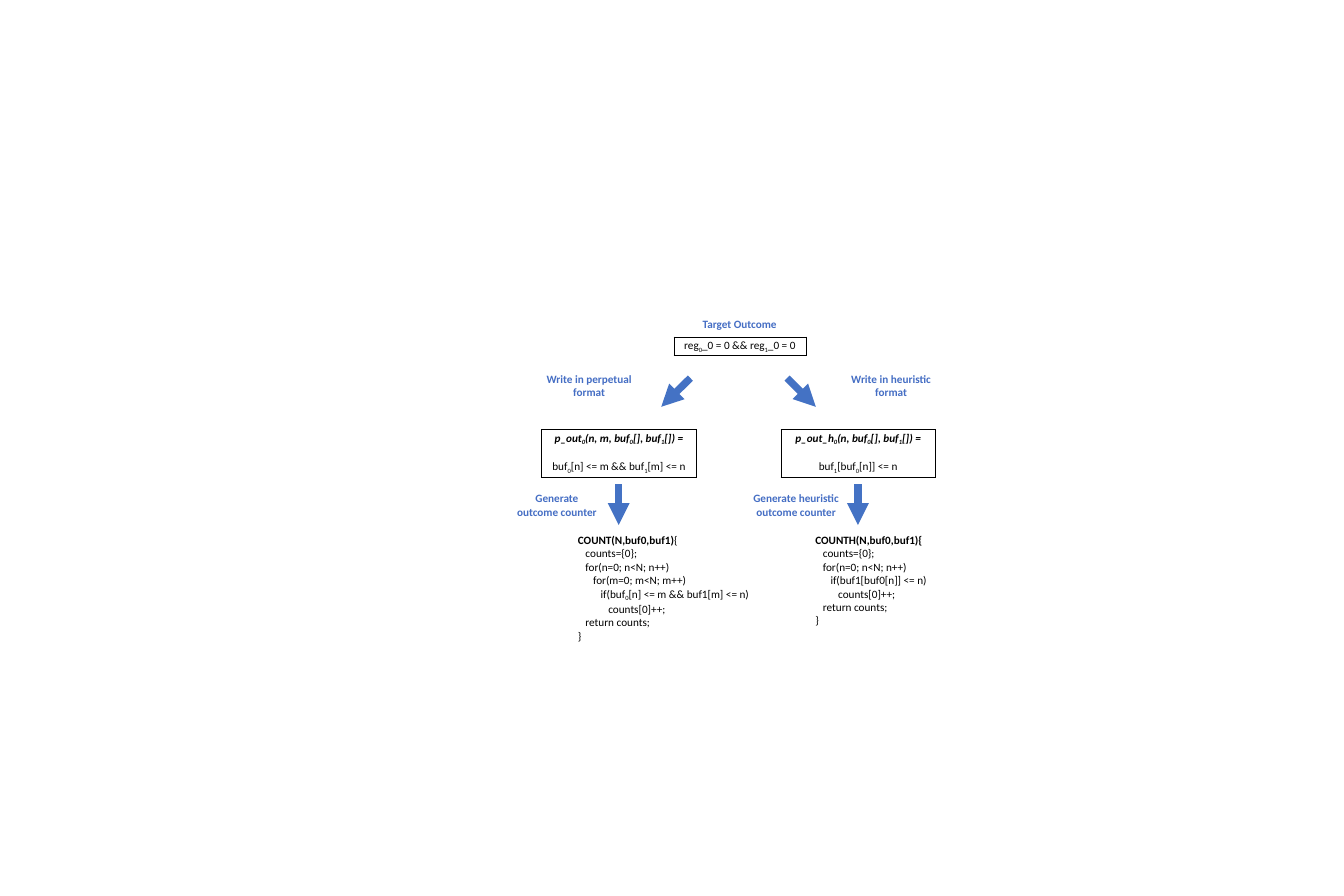
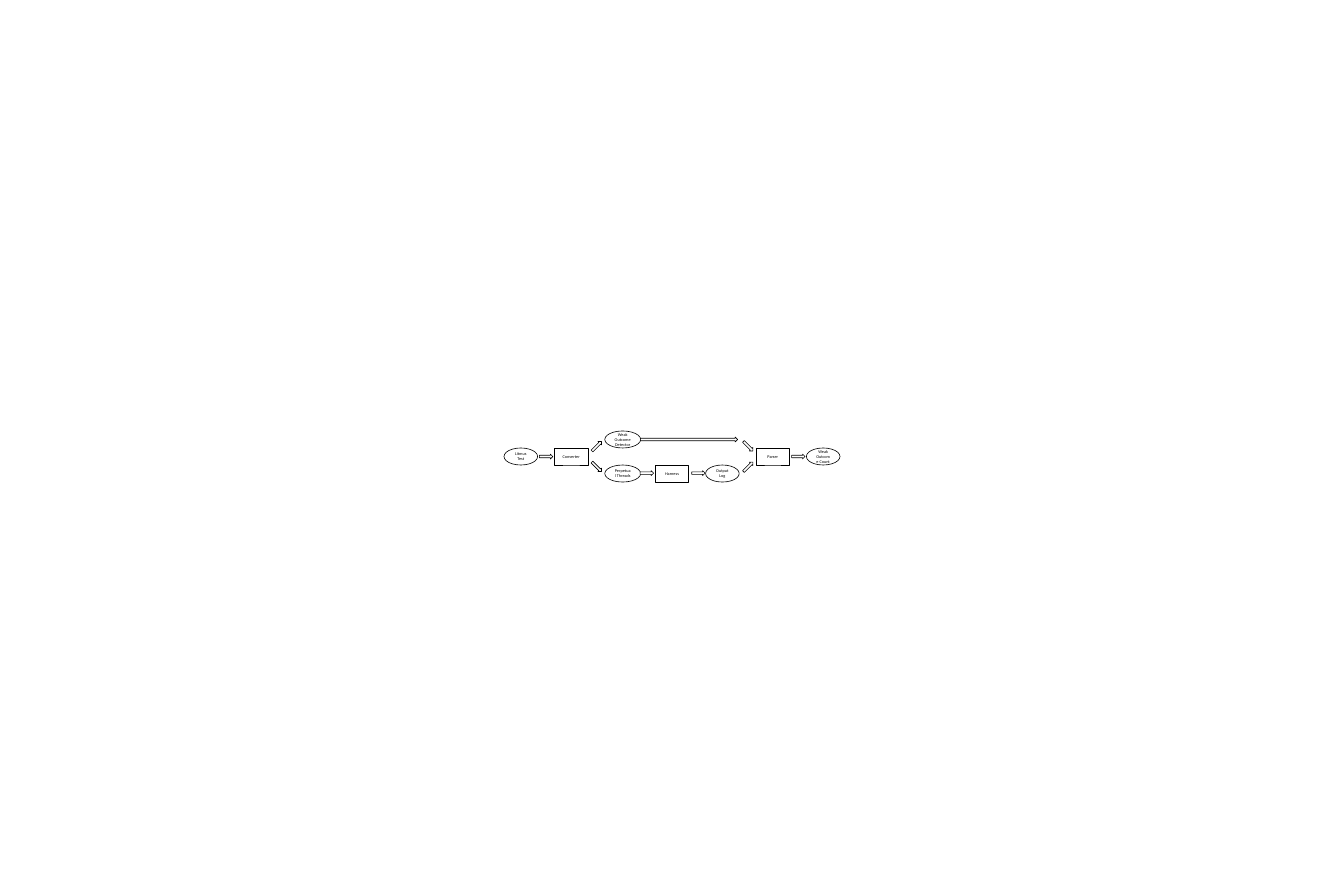
import pptx
import pptx.dml.color
import pptx.enum.shapes
import pptx.enum.text
import pptx.oxml.ns
import pptx.util
from lxml import etree

Inches = pptx.util.Inches
Pt = pptx.util.Pt
RGBColor = pptx.dml.color.RGBColor
SHAPE = pptx.enum.shapes.MSO_SHAPE
ALIGN = pptx.enum.text.PP_ALIGN
qn = pptx.oxml.ns.qn

BLACK = RGBColor(0x00, 0x00, 0x00)
WHITE = RGBColor(0xFF, 0xFF, 0xFF)
LABEL_BLUE = RGBColor(0x45, 0x6E, 0xC4)
ARROW_BLUE = RGBColor(0x44, 0x72, 0xC4)
FONT = "Calibri"
BODY_SIZE = 18
NODE_SIZE = 6.8
CODE_INDENT = 0.17

TARGET = "reg~0_0 = 0 && reg~1_0 = 0"
PERPETUAL = {
    "step": ["Write in perpetual", "format"],
    "step_box": (0, 2.12),
    "step_arrow": (3.32, 2.67),
    "signature": "p_out~0(n, m, buf~0[], buf~1[]) =",
    "condition": "buf~0[n] <= m && buf~1[m] <= n",
    "counter": ["Generate", "outcome counter"],
    "counter_box": (-0.67, 2.02),
    "code_box": (0.71, 4.41, 2.52),
    "code_wrap": True,
    "head": ("COUNT(N,buf0,buf1)", "{"),
    "code": [
        (1, "counts={0};"),
        (1, "for(n=0; n<N; n++)"),
        (2, "for(m=0; m<N; m++)"),
        (3, "if(buf~0[n] <= m && buf1[m] <= n)"),
        (4, "counts[0]++;"),
        (1, "return counts;"),
        (0, "}"),
    ],
}
HEURISTIC = {
    "step": ["Write in heuristic", "format"],
    "step_box": (1.46, 2),
    "step_arrow": (0.14, 0.78),
    "signature": "p_out_h~0(n, buf~0[], buf~1[]) =",
    "condition": "buf~1[buf~0[n]] <= n",
    "counter": ["Generate heuristic", "outcome counter"],
    "counter_box": (-0.72, 2.12),
    "code_box": (0.67, 2.81, 2.22),
    "code_wrap": False,
    "head": ("COUNTH(N,buf0,buf1){", ""),
    "code": [
        (1, "counts={0};"),
        (1, "for(n=0; n<N; n++)"),
        (2, "if(buf1[buf0[n]] <= n)"),
        (3, "counts[0]++;"),
        (1, "return counts;"),
        (0, "}"),
    ],
}

NODES = [
    ("Converter", SHAPE.RECTANGLE, 1, 1, 0.75),
    ("Harness", SHAPE.RECTANGLE, 3, 2, 0.75),
    ("Parser", SHAPE.RECTANGLE, 5, 1, 0.75),
    ("Litmus Test", SHAPE.OVAL, 0, 1, 0.75),
    ("Perpetual Threads", SHAPE.OVAL, 2, 2, 0.8),
    ("Weak Outcome Detector", SHAPE.OVAL, 2, 0, 0.8),
    ("Output Log", SHAPE.OVAL, 4, 2, 0.75),
    ("Weak Outcome Count", SHAPE.OVAL, 6, 1, 0.75),
]
RIGHT, DOWN_RIGHT, UP_RIGHT = 270, 315, 225
FLOW_ARROWS = [
    (0.94, 0.57, 0.3, RIGHT),
    (3.19, 0.94, 0.3, RIGHT),
    (4.34, 0.94, 0.3, RIGHT),
    (6.57, 0.57, 0.3, RIGHT),
    (4.13, 0.19, 2.17, RIGHT),
    (2.07, 0.8, 0.3, DOWN_RIGHT),
    (2.07, 0.34, 0.3, UP_RIGHT),
    (5.45, 0.34, 0.3, DOWN_RIGHT),
    (5.45, 0.8, 0.3, UP_RIGHT),
]


def inches(*lengths):
    """Turn plain numbers into lengths in inches."""
    return [Inches(length) for length in lengths]


def write(para, text, size=BODY_SIZE, color=BLACK, bold=False, italic=False):
    """Write text in one style; a character after a tilde is a subscript."""
    font = para.font
    font.name, font.size, font.bold, font.italic = FONT, Pt(size), bold, italic
    font.color.rgb = color
    first, *rest = text.split("~")
    para.add_run().text = first
    for part in rest:
        span = para.add_run()
        span.text = part[0]
        span.font._element.set("baseline", "-25000")
        if part[1:]:
            para.add_run().text = part[1:]


def paragraphs(frame, count):
    """Return the given number of paragraphs of an empty text frame."""
    return [frame.paragraphs[0]] + [frame.add_paragraph() for _ in range(count - 1)]


def text_frame(page, box, wrap=False):
    """Add a text box and return its text frame."""
    frame = page.shapes.add_textbox(*inches(*box)).text_frame
    frame.word_wrap = wrap
    frame.auto_size = pptx.enum.text.MSO_AUTO_SIZE.SHAPE_TO_FIT_TEXT
    return frame


def label(page, box, lines):
    """Add a centred blue label."""
    frame = text_frame(page, box)
    for para, line in zip(paragraphs(frame, len(lines)), lines):
        para.alignment = ALIGN.CENTER
        write(para, line, color=LABEL_BLUE, bold=True)


def code_block(page, box, head, lines, wrap):
    """Add a listing with a bold head and indented lines."""
    name, brace = head
    first, *rest = paragraphs(text_frame(page, box, wrap), len(lines) + 1)
    write(first, name, bold=True)
    if brace:
        span = first.add_run()
        span.text, span.font.bold = brace, False
    for para, (level, line) in zip(rest, lines):
        write(para, line)
        para._p.get_or_add_pPr().set("marL", str(Inches(level * CODE_INDENT)))


def framed_cell(page, box):
    """Add a one-cell table with a thin black frame and return its text frame."""
    table = page.shapes.add_table(1, 1, *inches(*box)).table
    table.first_row = table.horz_banding = False
    cell = table.cell(0, 0)
    cell.margin_left = cell.margin_right = Inches(0.06)
    cell.margin_top = cell.margin_bottom = Inches(0.04)
    properties = cell._tc.get_or_add_tcPr()
    for side in ("a:lnL", "a:lnR", "a:lnT", "a:lnB"):
        border = etree.SubElement(properties, qn(side), w=str(Pt(1)))
        fill = etree.SubElement(border, qn("a:solidFill"))
        etree.SubElement(fill, qn("a:srgbClr"), val=str(BLACK))
    cell.fill.solid()
    cell.fill.fore_color.rgb = WHITE
    return cell.text_frame


def thick_arrow(page, start, end):
    """Add a thick blue arrow."""
    arrow = page.shapes.add_connector(
        pptx.enum.shapes.MSO_CONNECTOR.STRAIGHT, *inches(*start, *end))
    arrow.line.color.rgb = ARROW_BLUE
    arrow.line.width = Pt(11.75)
    etree.SubElement(arrow.line._get_or_add_ln(), qn("a:tailEnd"), type="triangle")
    etree.SubElement(arrow._element.spPr, qn("a:effectLst"))


def target_outcome(page, left, top):
    """Place the target outcome and its label."""
    label(page, (left + 0.54, top, 1.86, 0.4), ["Target Outcome"])
    para = framed_cell(page, (left, top + 0.49, 2.95, 0.4)).paragraphs[0]
    para.alignment = ALIGN.CENTER
    write(para, TARGET)


def branch(page, left, top, parts):
    """Place one branch, from its format step down to its counter."""
    offset, width, height = parts["code_box"]
    code_block(page, (left + offset, top + 3.6, width, height),
               parts["head"], parts["code"], parts["code_wrap"])
    signature, condition = paragraphs(framed_cell(page, (left, top + 1.34, 3.45, 0.98)), 2)
    signature.alignment = condition.alignment = ALIGN.CENTER
    write(signature, parts["signature"], bold=True, italic=True)
    write(condition, parts["condition"])
    condition.space_before = Pt(22)
    for name, drop in (("step", 0), ("counter", 2.67)):
        offset, width = parts[name + "_box"]
        label(page, (left + offset, top + drop, width, 0.71), parts[name])
    start, end = parts["step_arrow"]
    thick_arrow(page, (left + start, top + 0.19), (left + end, top + 0.83))
    thick_arrow(page, (left + 1.72, top + 2.56), (left + 1.72, top + 3.47))


def outlined(page, kind, box):
    """Add a white shape with a thin black outline."""
    shape = page.shapes.add_shape(kind, *inches(*box))
    shape.shadow.inherit = False
    shape.fill.solid()
    shape.fill.fore_color.rgb = WHITE
    shape.line.color.rgb = BLACK
    shape.line.width = Pt(1)
    return shape


def flow(page, left, top, width):
    """Place the tool flow on a grid of seven columns and three rows."""
    column_step, row_step = (width - 0.75) / 6, 0.38
    for text, kind, column, row, node_width in NODES:
        node = outlined(page, kind, (left + column * column_step, top + row * row_step,
                                     node_width, 0.38))
        para = node.text_frame.paragraphs[0]
        para.alignment = ALIGN.CENTER
        write(para, text, size=NODE_SIZE)
    for across, down, length, turn in FLOW_ARROWS:
        arrow = outlined(page, SHAPE.DOWN_ARROW, (left + across - 0.055,
                                                  top + down - length / 2, 0.11, length))
        arrow.rotation = turn


def main():
    """Build both slides and save the deck."""
    deck = pptx.Presentation()
    deck.slide_width, deck.slide_height = inches(30, 20)
    outcomes, tools = [deck.slides.add_slide(deck.slide_layouts[6]) for _ in range(2)]
    branch(outcomes, 12.09, 8.25, PERPETUAL)
    branch(outcomes, 17.43, 8.25, HEURISTIC)
    target_outcome(outcomes, 15.04, 7.03)
    flow(tools, 11.25, 9.62, 7.5)
    deck.save("out.pptx")


if __name__ == "__main__":
    main()
